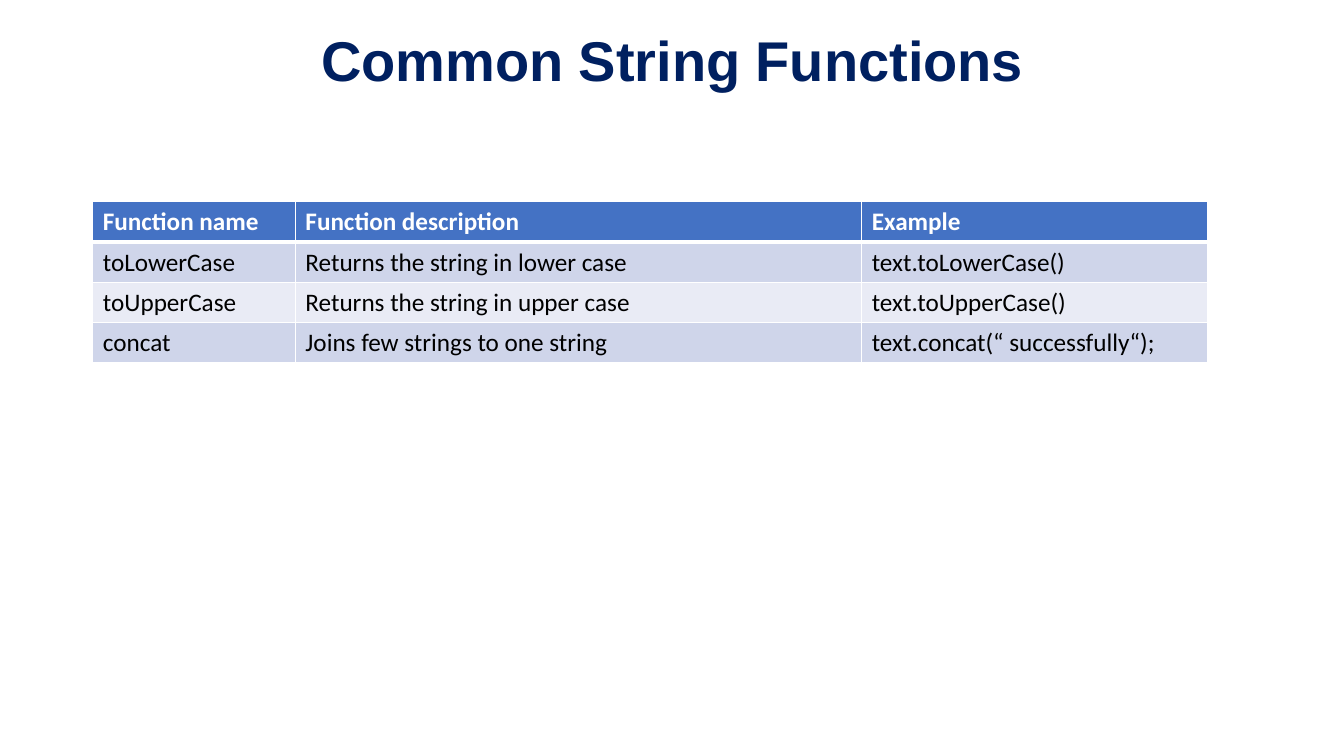
from dataclasses import dataclass

from lxml import etree
from pptx import Presentation
from pptx.dml.color import RGBColor
from pptx.enum.text import MSO_ANCHOR, PP_ALIGN
from pptx.oxml.ns import qn
from pptx.util import Cm, Pt

CENTER = PP_ALIGN.CENTER
MIDDLE = MSO_ANCHOR.MIDDLE


@dataclass(frozen=True)
class Theme:
    title_font: str = "Arial"
    body_font: str = "Calibri"
    title_size: int = 40
    body_size: int = 18
    title: str = "002060"
    white: str = "FFFFFF"
    text: str = "000000"
    header: str = "4472C4"
    bands: tuple = ("CFD5EA", "E9EBF5")
    rule: int = 1
    header_rule: int = 3


THEME = Theme()

FUNCTIONS = (
    ("Function name", "Function description", "Example"),
    ("toLowerCase", "Returns the string in lower case", "text.toLowerCase()"),
    ("toUpperCase", "Returns the string in upper case", "text.toUpperCase()"),
    ("concat", "Joins few strings to one string", "text.concat(“ successfully“);"),
)
COLUMN_SHARES = (2.01, 5.62, 3.43)


def add_run(paragraph, text, font, size, color, bold):
    run = paragraph.add_run()
    run.text = text
    run.font.name = font
    run.font.size = Pt(size)
    run.font.bold = bold
    run.font.color.rgb = RGBColor.from_string(color)


def set_borders(cell, top, bottom):
    """Draw white cell borders; top and bottom are widths in points."""
    widths = {"L": THEME.rule, "R": THEME.rule, "T": top, "B": bottom}
    properties = cell._tc.get_or_add_tcPr()
    for side, width in widths.items():
        line = etree.SubElement(properties, qn(f"a:ln{side}"), w=str(Pt(width)))
        fill = etree.SubElement(line, qn("a:solidFill"))
        etree.SubElement(fill, qn("a:srgbClr"), val=THEME.white)


def add_title(slide, left, top, width, height):
    frame = slide.shapes.add_textbox(left, top, width, height).text_frame
    frame.word_wrap = True
    frame.vertical_anchor = MIDDLE
    heading = frame.paragraphs[0]
    heading.alignment = CENTER
    heading.line_spacing = 0.9
    add_run(heading, "Common String Functions", THEME.title_font,
            THEME.title_size, THEME.title, True)


def add_function_table(slide, left, top, width, height):
    table = slide.shapes.add_table(
        len(FUNCTIONS), len(COLUMN_SHARES), left, top, width, height).table
    for column, share in zip(table.columns, COLUMN_SHARES):
        column.width = int(width * share / sum(COLUMN_SHARES))
    for row, entries in enumerate(FUNCTIONS):
        is_header = row == 0
        fill = THEME.header if is_header else THEME.bands[(row - 1) % 2]
        color = THEME.white if is_header else THEME.text
        top_rule = THEME.header_rule if row == 1 else THEME.rule
        bottom_rule = THEME.header_rule if is_header else THEME.rule
        for column, entry in enumerate(entries):
            cell = table.cell(row, column)
            set_borders(cell, top_rule, bottom_rule)
            cell.fill.solid()
            cell.fill.fore_color.rgb = RGBColor.from_string(fill)
            add_run(cell.text_frame.paragraphs[0], entry, THEME.body_font,
                    THEME.body_size, color, is_header)


def main():
    deck = Presentation()
    deck.slide_width, deck.slide_height = Cm(33.87), Cm(19.05)
    slide = deck.slides.add_slide(deck.slide_layouts[6])
    add_title(slide, Cm(2.97), Cm(0.69), Cm(27.94), Cm(1.8))
    add_function_table(slide, Cm(2.34), Cm(5.08), Cm(28.09), Cm(4.06))
    deck.save("out.pptx")


if __name__ == "__main__":
    main()
